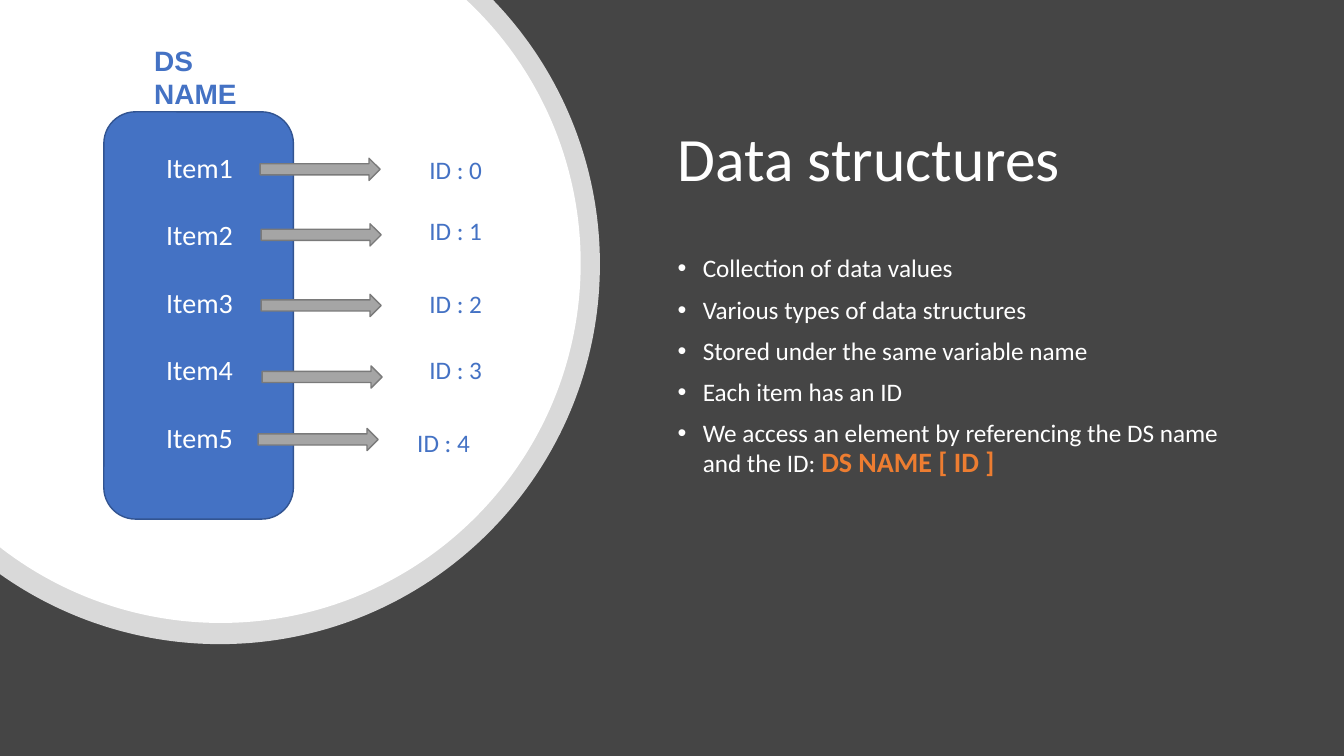
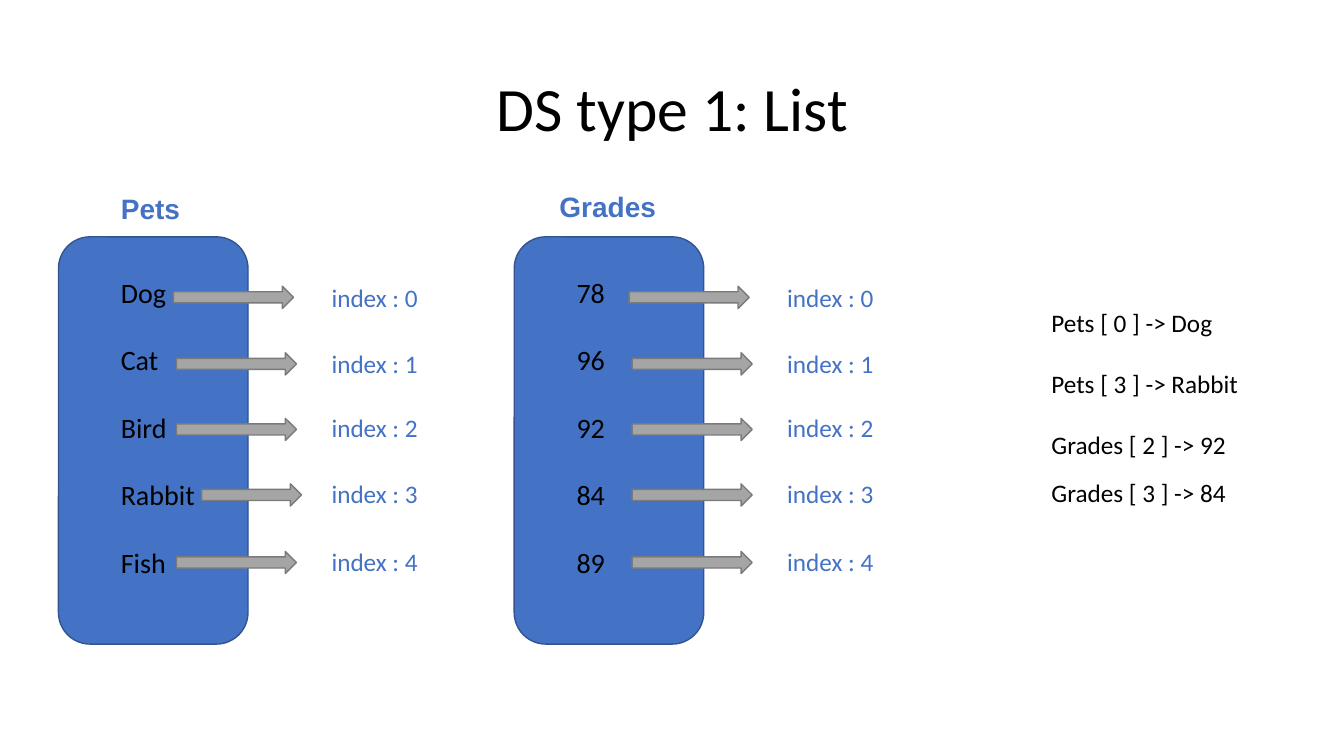
import math

import lxml.etree
import pptx
import pptx.dml.color
import pptx.enum.shapes
import pptx.enum.text
import pptx.oxml.ns
import pptx.util

W, H = 13.33, 7.5
BLUE, BLUE_LINE = "4472C4", "325491"
GRAY, GRAY_LINE = "A5A5A5", "7A7A7A"
WHITE, BLACK, DARK, ORANGE = "FFFFFF", "000000", "454545", "ED7D31"
PANEL_W, PANEL_H = 1.88, 4.04
ARROW_W, ARROW_H = 1.19, 0.22
SHAPES = pptx.enum.shapes.MSO_SHAPE
ALIGN = pptx.enum.text.PP_ALIGN


def rgb(value):
    """Return the colour for a hex string."""
    return pptx.dml.color.RGBColor.from_string(value)


def inches(*values):
    """Convert numbers to inch lengths."""
    return [pptx.util.Inches(v) for v in values]


def set_font(font, size, color, bold=False, name="Calibri"):
    """Apply size, colour, weight and typeface to a font."""
    font.size = pptx.util.Pt(size)
    font.color.rgb = rgb(color)
    font.bold = bold
    font.name = name


def paint(sp, fill, line=None):
    """Give a shape a flat fill and an optional thin outline."""
    sp.shadow.inherit = False
    sp.fill.solid()
    sp.fill.fore_color.rgb = rgb(fill)
    if line:
        sp.line.color.rgb = rgb(line)
        sp.line.width = pptx.util.Pt(1)
    else:
        sp.line.fill.background()


def add_block(slide, kind, box, fill, line):
    """Add a painted preset shape."""
    sp = slide.shapes.add_shape(kind, *inches(*box))
    paint(sp, fill, line)


def add_text(slide, box, lines, size, color, gap=0, **font):
    """Add a wrapped text box with one paragraph per line."""
    tf = slide.shapes.add_textbox(*inches(*box)).text_frame
    tf.word_wrap = True
    for i, line in enumerate(lines):
        p = tf.paragraphs[0] if i == 0 else tf.add_paragraph()
        p.text = line
        if i:
            p.space_before = pptx.util.Pt(gap)
        set_font(p.font, size, color, **font)


def place(sp, box):
    """Move a placeholder to a box and fix its text size."""
    sp.left, sp.top, sp.width, sp.height = inches(*box)
    sp.text_frame.word_wrap = True
    sp.text_frame.auto_size = pptx.enum.text.MSO_AUTO_SIZE.NONE


def new_slide(prs, layout, background, title, box, color, align):
    """Add a slide with a background and a formatted title."""
    slide = prs.slides.add_slide(prs.slide_layouts[layout])
    slide.background.fill.solid()
    slide.background.fill.fore_color.rgb = rgb(background)
    sp = slide.shapes.title
    place(sp, box)
    sp.text_frame.vertical_anchor = pptx.enum.text.MSO_ANCHOR.MIDDLE
    p = sp.text_frame.paragraphs[0]
    p.text = title
    p.alignment = align
    p.line_spacing = 0.9
    set_font(p.font, 44, color)
    return slide


def fill_bullets(sp, box, bullets, highlight):
    """Fill the body placeholder and end its last bullet with a highlight."""
    place(sp, box)
    tf = sp.text_frame
    for i, bullet in enumerate(bullets):
        p = tf.paragraphs[0] if i == 0 else tf.add_paragraph()
        p.text = bullet
        p.line_spacing = 0.9
        p.space_before = pptx.util.Pt(10)
        set_font(p.font, 18, WHITE)
        pPr = p._p.get_or_add_pPr()
        indent = pptx.util.Inches(0.25)
        pPr.set("marL", str(indent))
        pPr.set("indent", str(-indent))
    r = p.add_run()
    r.text = highlight
    set_font(r.font, 20, ORANGE, bold=True)


def arc_controls(cx, cy, radius, a, b):
    """Return the two control points and the end of a Bezier arc."""
    k = 4 / 3 * math.tan((b - a) / 4)
    units = [
        (math.cos(a) - k * math.sin(a), math.sin(a) + k * math.cos(a)),
        (math.cos(b) + k * math.sin(b), math.sin(b) - k * math.cos(b)),
        (math.cos(b), math.sin(b)),
    ]
    return [inches(cx + radius * u, cy + radius * v) for u, v in units]


def add_corner_disc(slide, cx, cy, radius, alpha=100):
    """Draw a white disc cut off by the top and left slide edges."""
    stops = [-math.asin(cy / radius), 0, math.pi / 2, math.acos(-cx / radius)]
    points = [inches(cx + radius * math.cos(stops[0]), 0)]
    for a, b in zip(stops, stops[1:]):
        points += arc_controls(cx, cy, radius, a, b)
    builder = slide.shapes.build_freeform(0, 0, scale=1.0)
    builder.add_line_segments(points, close=True)
    sp = builder.convert_to_shape()
    paint(sp, WHITE)
    qn = pptx.oxml.ns.qn
    lines = list(sp._element.spPr.iter(qn("a:lnTo")))[1:]
    for i in range(0, 9, 3):
        curve = lxml.etree.Element(qn("a:cubicBezTo"))
        lines[i].addprevious(curve)
        for line in lines[i:i + 3]:
            curve.append(line[0])
            line.getparent().remove(line)
    if alpha < 100:
        clr = sp._element.spPr.find(".//" + qn("a:srgbClr"))
        lxml.etree.SubElement(clr, qn("a:alpha")).set("val", str(alpha * 1000))


def add_structure(slide, x, y, name, name_box, items, color, arrows, labels):
    """Draw a named panel of items whose arrows lead to labels."""
    add_block(slide, SHAPES.ROUNDED_RECTANGLE, (x, y, PANEL_W, PANEL_H), BLUE, BLUE_LINE)
    add_text(slide, (x + 0.52, y + 0.33, 1.7, 3.13), items, 20, color, gap=24.2)
    dx, dy, h = name_box
    add_text(slide, (x + dx, y + dy, 1.22, h), [name], 20, BLUE, bold=True, name="Arial")
    for dx, dy, w in arrows:
        add_block(slide, SHAPES.RIGHT_ARROW, (x + dx, y + dy, w, ARROW_H), GRAY, GRAY_LINE)
    for text, dx, dy in labels:
        add_text(slide, (x + dx, y + dy, 1.6, 0.4), [text], 18, BLUE)


def build_overview(prs):
    """Build the slide that introduces data structures."""
    slide = new_slide(prs, 1, DARK, "Data structures", (6.62, 0.88, 5.81, 1.45), WHITE, ALIGN.LEFT)
    add_corner_disc(slide, 2.18, 2.62, 3.77, alpha=80)
    add_corner_disc(slide, 2.19, 2.61, 3.57)
    bullets = [
        "Collection of data values",
        "Various types of data structures",
        "Stored under the same variable name",
        "Each item has an ID",
        "We access an element by referencing the DS name and the ID: ",
    ]
    fill_bullets(slide.placeholders[1], (6.62, 2.49, 5.81, 3.69), bullets, "DS NAME [ ID ]")
    starts = [(1.55, 0.46), (1.56, 1.11), (1.56, 1.81), (1.57, 2.52), (1.53, 3.14)]
    arrows = [(dx, dy, ARROW_W) for dx, dy in starts]
    spots = [(3.13, 0.37), (3.13, 0.98), (3.13, 1.7), (3.13, 2.36), (3.01, 3.08)]
    labels = [(f"ID : {i}", dx, dy) for i, (dx, dy) in enumerate(spots)]
    items = [f"Item{i}" for i in range(1, 6)]
    add_structure(slide, 1.03, 1.11, "DS NAME", (0.4, -0.73, 0.77), items, WHITE, arrows, labels)


def build_lists(prs):
    """Build the slide that shows two lists and how to index them."""
    slide = new_slide(prs, 5, WHITE, "DS type 1: List", (0.92, 0.38, 11.5, 1.45), BLACK, ALIGN.CENTER)
    arrow_tops = [0.49, 1.15, 1.8, 2.45, 3.12]
    label_tops = [0.4, 1.06, 1.69, 2.35, 3.02]
    labels = [(f"index : {i}", 2.61, top) for i, top in enumerate(label_tops)]
    lists = [
        (0.58, "Pets", (0.52, -0.5, 0.44), ["Dog", "Cat", "Bird", "Rabbit", "Fish"]),
        (5.1, "Grades", (0.35, -0.52, 0.44), ["78", "96", "92", "84", "89"]),
    ]
    for x, name, name_box, items in lists:
        arrows = []
        for i, (item, top) in enumerate(zip(items, arrow_tops)):
            left = 1.17 if i else 1.14
            if item == "Rabbit":
                arrows.append((left + 0.25, top, ARROW_W - 0.2))
            else:
                arrows.append((left, top, ARROW_W))
        add_structure(slide, x, 2.35, name, name_box, items, BLACK, arrows, labels)
    examples = [
        (3, "Pets [ 0 ] -> Dog"),
        (3.6, "Pets [ 3 ] -> Rabbit"),
        (4.21, "Grades [ 2 ] -> 92"),
        (4.69, "Grades [ 3 ] -> 84"),
    ]
    for y, text in examples:
        add_text(slide, (10.33, y, 2.42, 0.4), [text], 18, BLACK)


def main():
    """Build and save the presentation."""
    prs = pptx.Presentation()
    prs.slide_width, prs.slide_height = inches(W, H)
    build_overview(prs)
    build_lists(prs)
    prs.save("out.pptx")


if __name__ == "__main__":
    main()
